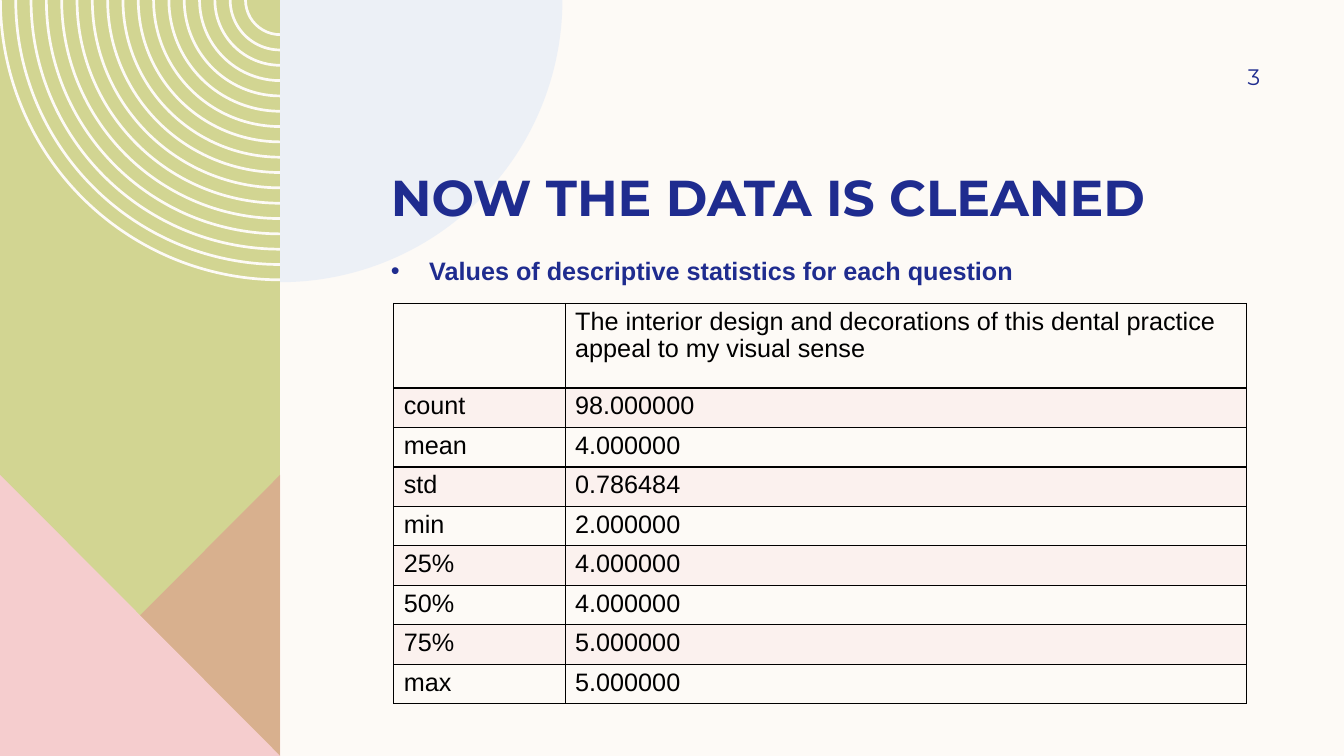
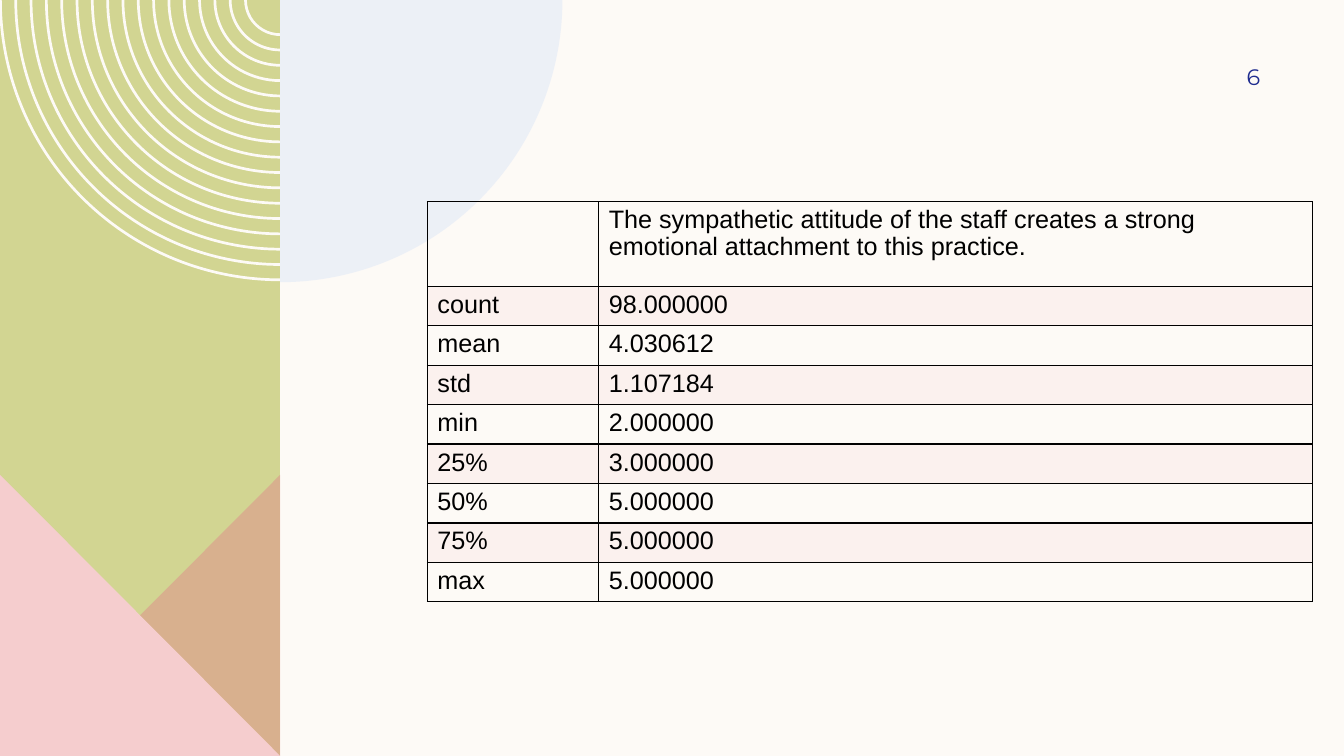
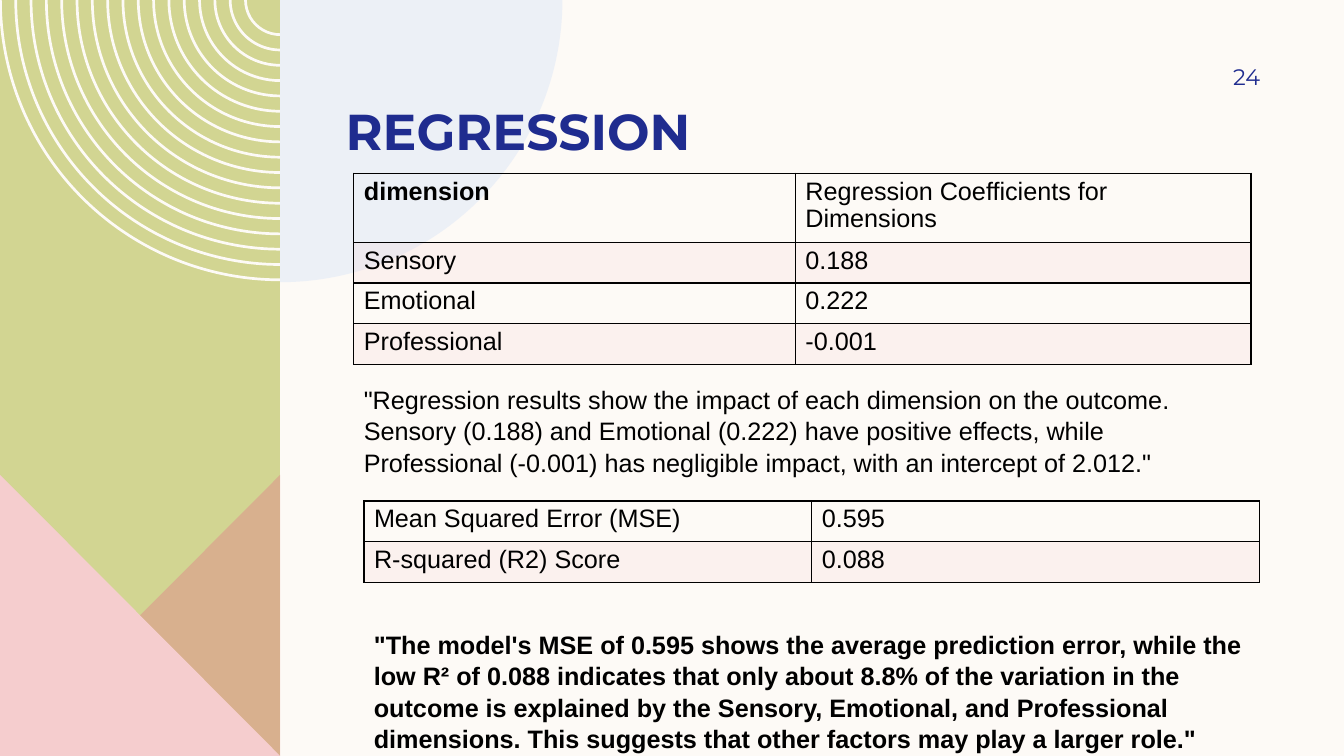
from dataclasses import dataclass
from typing import Any, NamedTuple

from lxml import etree
from pptx import Presentation
from pptx import util as u
from pptx.dml.color import RGBColor
from pptx.enum import text
from pptx.oxml.ns import qn


@dataclass(frozen=True)
class Theme:
    background: str = "FDFAF6"
    olive: str = "D2D592"
    rose: str = "DE8C8C"
    pink: str = "F5CDCE"
    sky: str = "DDE7F6"
    navy: str = "1F2C8F"
    black: str = "000000"
    heading_font: str = "Montserrat"
    body_font: str = "Arial"
    title_size: int = 36
    body_size: int = 18
    number_size: int = 16
    table_spacing: float = 0.97
    text_spacing: float = 1.04
    border_width: int = 1


class Box(NamedTuple):
    left: float
    top: float
    width: float
    height: float


class Style(NamedTuple):
    font: dict[str, Any]
    color: str
    frame: dict[str, Any]
    paragraph: dict[str, Any]
    bullet: bool = False


class Label(NamedTuple):
    words: str
    box: Box
    style: Style


class Grid(NamedTuple):
    left: float
    top: float
    columns: tuple[float, ...]
    header_height: float
    row_height: float
    rows: list[tuple[str, ...]]
    bold_cells: tuple[tuple[int, int], ...] = ()


class Page(NamedTuple):
    number: int
    labels: list[Label]
    grids: list[Grid]


Point = tuple[int, int]

THEME = Theme()
SLIDE_WIDTH = u.Inches(13.333)
SLIDE_HEIGHT = u.Inches(7.5)

PANEL_WIDTH = 20.85
TRIANGLE_TOP = 62.8
LENS_RADIUS = 21
RING_COUNT = 17
RING_RADIUS = 20.82
RING_STEP = 1.14
RING_THICKNESS = 0.2
DEGREE = 60000
BULLET_INDENT = 0.38


def across(share: float) -> int:
    return round(SLIDE_WIDTH * share / 100)


def down(share: float) -> int:
    return round(SLIDE_HEIGHT * share / 100)


def set_all(target: Any, values: dict[str, Any]) -> None:
    for name, value in values.items():
        setattr(target, name, value)


def font_values(name: str, size: int, bold: bool = False) -> dict[str, Any]:
    return {"name": name, "size": u.Pt(size), "bold": bold}


def frame_values(
    anchor: Any, left: float = 0.1, top: float = 0, right: float = 0.1
) -> dict[str, Any]:
    return {
        "word_wrap": True,
        "vertical_anchor": anchor,
        "margin_left": u.Inches(left),
        "margin_top": u.Inches(top),
        "margin_right": u.Inches(right),
        "margin_bottom": u.Inches(top),
    }


ANCHOR = text.MSO_ANCHOR
SPACED = {"line_spacing": THEME.text_spacing}
TITLE = Style(
    font_values(THEME.heading_font, THEME.title_size, True),
    THEME.navy, frame_values(ANCHOR.BOTTOM), {},
)
NUMBER = Style(
    font_values(THEME.heading_font, THEME.number_size),
    THEME.navy, frame_values(ANCHOR.MIDDLE, top=0.05, right=0),
    {"alignment": text.PP_ALIGN.RIGHT},
)
BULLET = Style(
    font_values(THEME.body_font, THEME.body_size, True),
    THEME.navy, frame_values(ANCHOR.TOP), SPACED, True,
)
NOTE = Style(
    font_values(THEME.body_font, THEME.body_size),
    THEME.black, frame_values(ANCHOR.TOP, top=0.05), SPACED,
)
STRONG_NOTE = NOTE._replace(font=NOTE.font | {"bold": True})
CELL = NOTE._replace(paragraph={"line_spacing": THEME.table_spacing})
NUMBER_BOX = Box(84.98, 6.67, 8.78, 6.93)


def fill_solid(fill: Any, properties: Any, color: str, opacity: int = 100) -> None:
    fill.solid()
    fill.fore_color.rgb = RGBColor.from_string(color)
    if opacity < 100:
        color_element = list(properties.iter(qn("a:srgbClr")))[-1]
        etree.SubElement(color_element, qn("a:alpha"), val=str(opacity * 1000))


def draw_outline(slide: Any, points: list[Point], closed: bool = True) -> Any:
    start, *rest = points
    builder = slide.shapes.build_freeform(*start)
    builder.add_line_segments(rest, close=closed)
    shape = builder.convert_to_shape()
    shape.shadow.inherit = False
    return shape


def draw_area(slide: Any, points: list[Point], color: str, opacity: int = 100) -> Any:
    shape = draw_outline(slide, points)
    shape.line.fill.background()
    fill_solid(shape.fill, shape.element.spPr, color, opacity)
    return shape


def bend_first_side(shape: Any, radius: int, start: int, sweep: int) -> None:
    side = next(shape.element.iter(qn("a:lnTo")))
    arc = etree.Element(
        qn("a:arcTo"), wR=str(radius), hR=str(radius),
        stAng=str(start * DEGREE), swAng=str(sweep * DEGREE),
    )
    side.getparent().replace(side, arc)


def draw_ring(slide: Any, index: int) -> Any:
    center, radius = across(PANEL_WIDTH), across(RING_RADIUS - index * RING_STEP)
    shape = draw_outline(slide, [(center - radius, 0), (center, radius)], closed=False)
    bend_first_side(shape, radius, 180, -90)
    shape.fill.background()
    shape.line.color.rgb = RGBColor.from_string(THEME.background)
    shape.line.width = across(RING_THICKNESS)
    return shape


def draw_lens(slide: Any) -> Any:
    center, radius = across(PANEL_WIDTH), across(LENS_RADIUS)
    points = [(center + radius, 0), (center, radius), (center, 0)]
    shape = draw_area(slide, points, THEME.sky, 50)
    bend_first_side(shape, radius, 0, 90)
    return shape


def decorate_layout(layout: Any, slide: Any) -> None:
    for placeholder in list(layout.placeholders):
        layout.shapes.element.remove(placeholder.element)
    right, middle, bottom = across(PANEL_WIDTH), down(TRIANGLE_TOP), SLIDE_HEIGHT
    panel = [(0, 0), (right, 0), (right, bottom), (0, bottom)]
    rose_triangle = [(right, middle), (right, bottom), (0, bottom)]
    pink_triangle = [(0, middle), (right, bottom), (0, bottom)]
    shapes = [
        draw_area(slide, panel, THEME.olive),
        *[draw_ring(slide, index) for index in range(RING_COUNT)],
        draw_area(slide, rose_triangle, THEME.rose, 50),
        draw_area(slide, pink_triangle, THEME.pink),
        draw_lens(slide),
    ]
    for shape in shapes:
        layout.shapes.element.append(shape.element)


def write_text(frame: Any, words: str, style: Style) -> None:
    paragraph = frame.paragraphs[0]
    set_all(paragraph, style.paragraph)
    if style.bullet:
        indent = u.Inches(BULLET_INDENT)
        properties = paragraph._p.get_or_add_pPr()
        properties.set("marL", str(indent))
        properties.set("indent", str(-indent))
        etree.SubElement(properties, qn("a:buFont"), typeface=THEME.body_font)
        etree.SubElement(properties, qn("a:buChar"), char="•")
    if not words:
        set_all(paragraph.font, style.font)
        return
    run = paragraph.add_run()
    run.text = words
    run.font.color.rgb = RGBColor.from_string(style.color)
    set_all(run.font, style.font)


def draw_label(slide: Any, label: Label) -> None:
    box = label.box
    shape = slide.shapes.add_textbox(
        across(box.left), down(box.top), across(box.width), down(box.height)
    )
    set_all(shape.text_frame, label.style.frame)
    write_text(shape.text_frame, label.words, label.style)


def draw_borders(properties: Any) -> None:
    for side in ("a:lnL", "a:lnR", "a:lnT", "a:lnB"):
        width = str(u.Pt(THEME.border_width))
        line = etree.SubElement(properties, qn(side), w=width)
        fill = etree.SubElement(line, qn("a:solidFill"))
        etree.SubElement(fill, qn("a:srgbClr"), val=THEME.black)


def draw_grid(slide: Any, grid: Grid) -> None:
    heights = [grid.header_height] + [grid.row_height] * (len(grid.rows) - 1)
    table = slide.shapes.add_table(
        len(grid.rows), len(grid.columns),
        across(grid.left), down(grid.top),
        across(sum(grid.columns)), down(sum(heights)),
    ).table
    set_all(table, {"first_row": False, "horz_banding": False})
    for column, width in zip(table.columns, grid.columns):
        column.width = across(width)
    for row_index, (row, height) in enumerate(zip(table.rows, heights)):
        row.height = down(height)
        for column_index, cell in enumerate(row.cells):
            bold = (row_index, column_index) in grid.bold_cells
            style = CELL._replace(font=CELL.font | {"bold": bold})
            write_text(cell.text_frame, grid.rows[row_index][column_index], style)
            properties = cell._tc.get_or_add_tcPr()
            draw_borders(properties)
            if row_index % 2:
                fill_solid(cell.fill, properties, THEME.pink, 20)
            else:
                cell.fill.background()


def statistics(
    left: float, top: float, answer_width: float, question: str, values: str
) -> Grid:
    names = "count mean std min 25% 50% 75% max".split()
    rows = [("", question), *zip(names, values.split())]
    return Grid(left, top, (12.75, answer_width), 11.2, 5.2, rows)


PAGES = [
    Page(
        3,
        [
            Label("Values of descriptive statistics for each question",
                  Box(28.35, 33.6, 65.33, 6), BULLET),
            Label("NOW THE DATA IS CLEANED", Box(28.35, 15.47, 65.33, 14.53), TITLE),
        ],
        [statistics(
            29.3, 40.13, 50.7,
            "The interior design and decorations of this dental practice "
            "appeal to my visual sense",
            "98.000000 4.000000 0.786484 2.000000 "
            "4.000000 4.000000 5.000000 5.000000",
        )],
    ),
    Page(
        6,
        [],
        [statistics(
            31.8, 26.67, 53.1,
            "The sympathetic attitude of the staff creates a strong "
            "emotional attachment to this practice.",
            "98.000000 4.030612 1.107184 2.000000 "
            "3.000000 5.000000 5.000000 5.000000",
        )],
    ),
    Page(
        24,
        [
            Label("REGRESSION", Box(24.98, 6.67, 65.33, 14.53), TITLE),
            Label(
                '"Regression results show the impact of each dimension on the '
                "outcome. Sensory (0.188) and Emotional (0.222) have positive "
                "effects, while Professional (-0.001) has negligible impact, "
                'with an intercept of 2.012."',
                Box(26.33, 50, 65.55, 13.47), NOTE,
            ),
            Label(
                '"The model\'s MSE of 0.595 shows the average prediction error, '
                "while the low R² of 0.088 indicates that only about 8.8% of the "
                "variation in the outcome is explained by the Sensory, Emotional, "
                "and Professional dimensions. This suggests that other factors "
                'may play a larger role."',
                Box(27.08, 82.4, 68.85, 17.6), STRONG_NOTE,
            ),
        ],
        [
            Grid(
                26.33, 22.93, (32.85, 33.9), 8.87, 5.4,
                [
                    ("dimension", "Regression Coefficients for Dimensions"),
                    ("Sensory", "0.188"),
                    ("Emotional", "0.222"),
                    ("Professional", "-0.001"),
                ],
                bold_cells=((0, 0),),
            ),
            Grid(
                27.08, 66.27, (33.32, 33.32), 5.4, 5.4,
                [
                    ("Mean Squared Error (MSE)", "0.595"),
                    ("R-squared (R2) Score", "0.088"),
                ],
            ),
        ],
    ),
]


def main() -> None:
    presentation = Presentation()
    set_all(presentation, {"slide_width": SLIDE_WIDTH, "slide_height": SLIDE_HEIGHT})
    background = presentation.slide_master.background.fill
    background.solid()
    background.fore_color.rgb = RGBColor.from_string(THEME.background)
    layout = presentation.slide_layouts[6]
    slides = [presentation.slides.add_slide(layout) for _ in PAGES]
    decorate_layout(layout, slides[0])
    for slide, page in zip(slides, PAGES):
        for label in [*page.labels, Label(str(page.number), NUMBER_BOX, NUMBER)]:
            draw_label(slide, label)
        for grid in page.grids:
            draw_grid(slide, grid)
    presentation.save("out.pptx")


if __name__ == "__main__":
    main()
